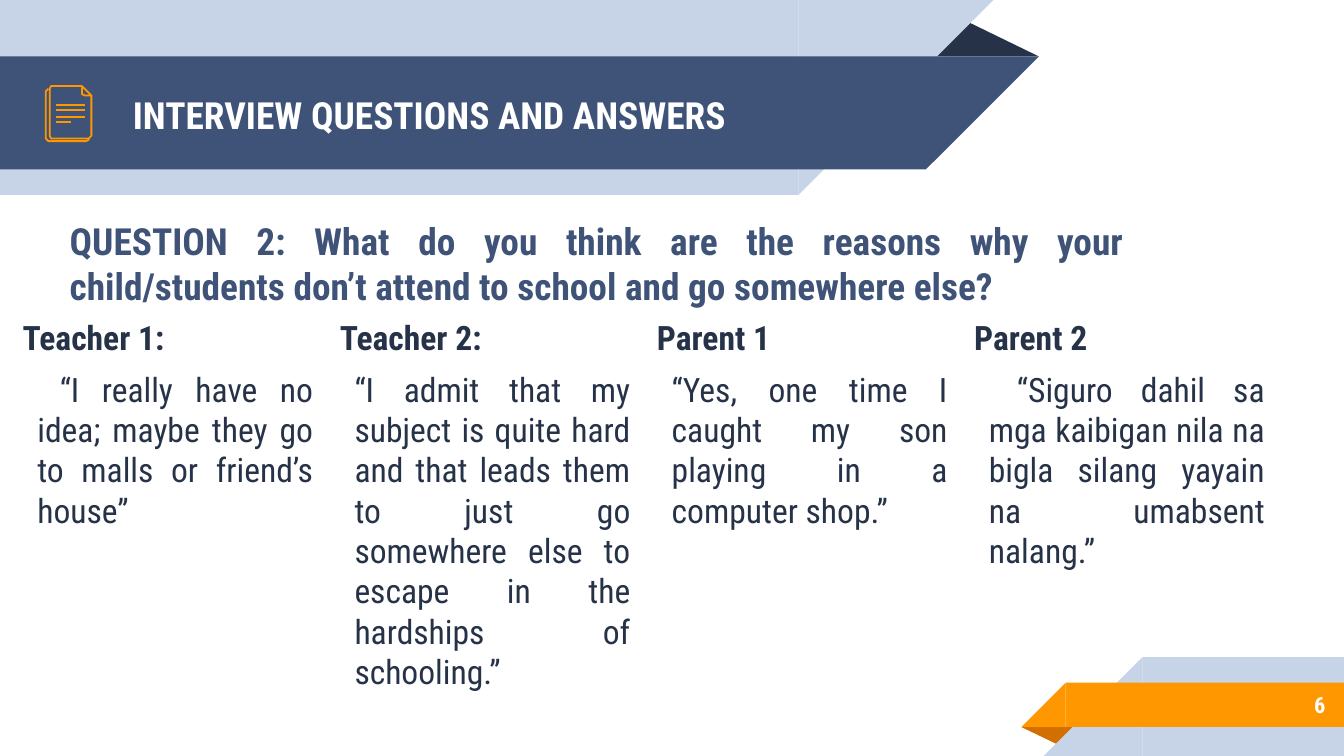
import pptx
import pptx.util
import pptx.dml.color
import pptx.enum.shapes
import pptx.enum.text
import pptx.oxml.ns
import lxml.etree

inch = pptx.util.Inches
SHAPE = pptx.enum.shapes.MSO_SHAPE
ALIGN = pptx.enum.text.PP_ALIGN
ANCHOR = pptx.enum.text.MSO_ANCHOR

THEME = {
    "font": "Roboto Condensed",
    "pale": "C7D3E6", "blue": "3F5378", "dark": "263248",
    "gold": "FF9800", "rust": "D26F00", "white": "FFFFFF",
    "head": 20, "body": 18, "small": 12, "line": 0.96,
}
WIDE = 10
HIGH = WIDE * 9 / 16

TITLE = "INTERVIEW QUESTIONS AND ANSWERS"
QUERY = ("QUESTION 2: What do you think are the reasons why your "
         "child/students don’t attend to school and go somewhere else?")
PAGE = "6"
REPLIES = [
    ("Teacher 1:", " “I really have no idea; maybe they go to malls or friend’s house”"),
    ("Teacher 2:", "“I admit that my subject is quite hard and that leads them to just go "
                   "somewhere else to escape in the hardships of schooling.”"),
    ("Parent 1", "“Yes, one time I caught my son playing in a computer shop.”"),
    ("Parent 2", " “Siguro dahil sa mga kaibigan nila na bigla silang yayain "
                 "na umabsent nalang.”"),
]

# Bands: slanted edge start, top, height, colour
TOP_BANDS = [(5.94, 0, 1.45, "pale"), (6.89, 0.42, 0.84, "blue")]
LOW_BANDS = [(8.5, 4.89, HIGH - 4.89, "pale"), (7.93, 5.08, 0.33, "gold")]
# Folds: left, top, width, height, turn, colour
TOP_FOLD = (6.88, 0.14, 0.85, 0.28, 0, "dark")
LOW_FOLD = (7.6, 5.41, 0.43, 0.14, 180, "rust")

# Icon outlines in hundredths of an inch: points, closed
SHEETS = [
    ([(66, 103), (66, 104), (64, 105), (36, 105), (34, 103), (34, 68), (36, 66)], False),
    ([(68, 71), (68, 101), (66, 103), (38, 103), (37, 101), (37, 66), (38, 64),
      (61, 64)], False),
    ([(61, 70), (61, 64), (68, 71), (63, 71), (61, 70)], True),
]
ROWS = [(0.78, 0.63), (0.82, 0.63), (0.87, 0.63), (0.91, 0.53)]
ROW_LEFT = 0.42

# Reply grid: left, top, column width, height
GRID = (0.07, 2.26, 2.36, 2.98)

deck = pptx.Presentation()
deck.slide_width, deck.slide_height = inch(WIDE), inch(HIGH)
slide = deck.slides.add_slide(deck.slide_layouts[6])
shapes = slide.shapes


def color(name):
    return pptx.dml.color.RGBColor.from_string(THEME[name])


def block(kind, box, tint, turn=0, flip=False):
    shape = shapes.add_shape(kind, *map(inch, box))
    shape.shadow.inherit = False
    shape.fill.solid()
    shape.fill.fore_color.rgb = color(tint)
    shape.line.fill.background()
    shape.rotation = turn
    if flip:
        shape._element.spPr.find(pptx.oxml.ns.qn("a:xfrm")).set("flipH", "1")
    return shape


def fold(left, top, width, height, turn, tint):
    shape = block(SHAPE.ISOSCELES_TRIANGLE, (left, top, width, height), tint, turn)
    shape.adjustments[0] = 0.324


def stroke(shape):
    shape.line.color.rgb = color("gold")
    shape.line.width = pptx.util.Pt(THEME["line"])


def write(box, paras, anchor=ANCHOR.TOP, base=0.1):
    """Add a text box; each paragraph is (text, size, colour, bold, format dict)."""
    frame = shapes.add_textbox(*map(inch, box)).text_frame
    looks = {"word_wrap": True, "vertical_anchor": anchor,
             "margin_left": inch(0.1), "margin_right": inch(0.1),
             "margin_top": inch(0.1), "margin_bottom": inch(base)}
    for key, value in looks.items():
        setattr(frame, key, value)
    for i, (text, size, tint, bold, form) in enumerate(paras):
        para = frame.add_paragraph() if i else frame.paragraphs[0]
        for key, value in form.items():
            setattr(para, key, value)
        run = para.add_run()
        run.text = text
        face = {"name": THEME["font"], "size": pptx.util.Pt(THEME[size]), "bold": bold}
        for key, value in face.items():
            setattr(run.font, key, value)
        run.font.color.rgb = color(tint)
        if not bold:
            prop = para._p.get_or_add_pPr()
            prop.set("marL", str(inch(0.11)))
            prop.set("indent", "0")


# Bands and folds
fold(*TOP_FOLD)
for edge, top, size, tint in TOP_BANDS:
    block(SHAPE.RECTANGLE, (0, top, edge, size), tint)
    block(SHAPE.RIGHT_TRIANGLE, (edge, top, size, size), tint, 180, True)
fold(*LOW_FOLD)
for edge, top, size, tint in LOW_BANDS:
    block(SHAPE.RECTANGLE, (edge, top, WIDE - edge, size), tint)
    block(SHAPE.RIGHT_TRIANGLE, (edge - size, top, size, size), tint, 0, True)

# Paper icon
for points, closed in SHEETS:
    pen = shapes.build_freeform(*points[0], scale=inch(0.01))
    pen.add_line_segments(points[1:], close=closed)
    sheet = pen.convert_to_shape()
    sheet.shadow.inherit = False
    sheet.fill.background()
    stroke(sheet)
for y, right in ROWS:
    rule = shapes.add_connector(pptx.enum.shapes.MSO_CONNECTOR.STRAIGHT,
                                inch(right), inch(y), inch(ROW_LEFT), inch(y))
    stroke(rule)
    lxml.etree.SubElement(rule._element.spPr, pptx.oxml.ns.qn("a:effectLst"))

# Text
write((0.89, 0.43, 5.75, 0.84), [(TITLE, "head", "white", True, {})], ANCHOR.MIDDLE)
write((8.33, 5.07, 1.63, 0.35),
      [(PAGE, "small", "white", True, {"alignment": ALIGN.RIGHT})], ANCHOR.MIDDLE)
left, top, width, height = GRID
form = {"alignment": ALIGN.JUSTIFY, "space_before": pptx.util.Pt(6)}
for i, (name, reply) in enumerate(REPLIES):
    write((left + i * width, top, width, height),
          [(name, "body", "dark", True, form), (reply, "body", "dark", False, form)])
write((0.42, 1.7, 8.04, 0.84),
      [(QUERY, "head", "blue", True, {"alignment": ALIGN.JUSTIFY})],
      ANCHOR.MIDDLE, base=0.43)

deck.save("out.pptx")
